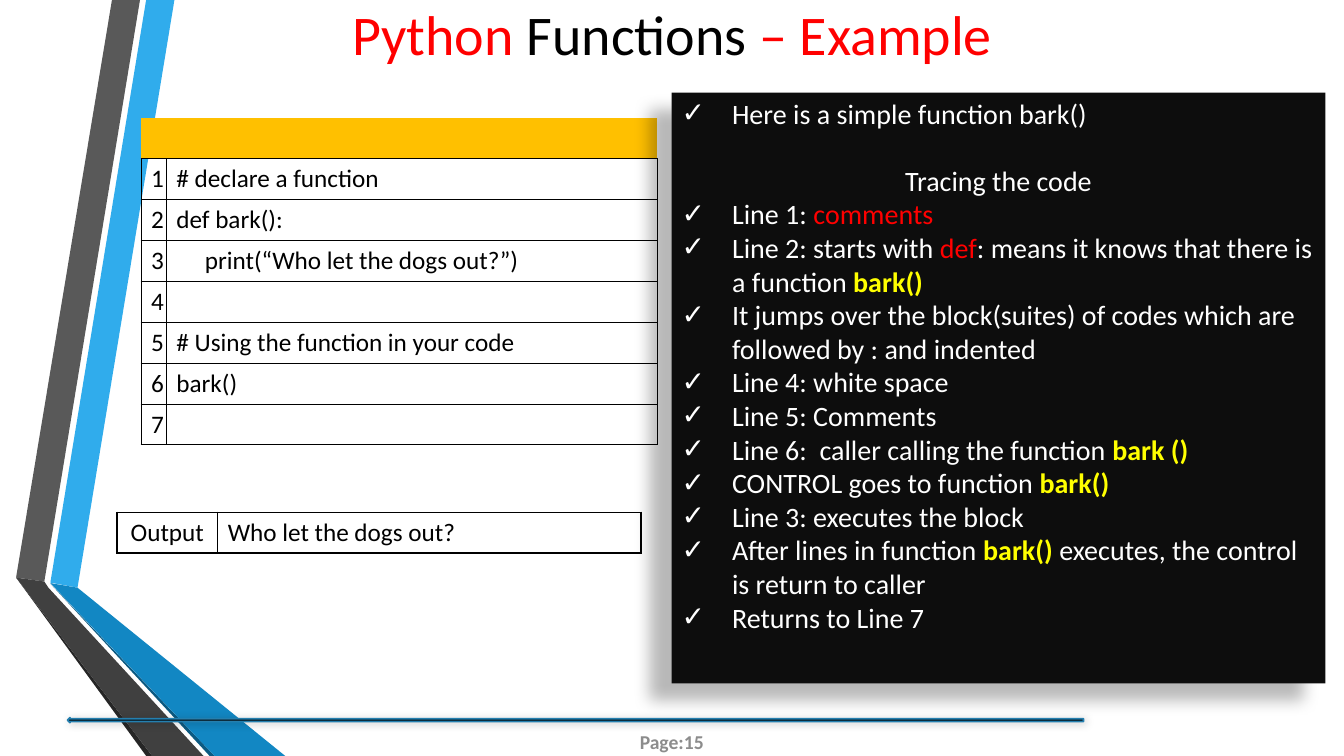
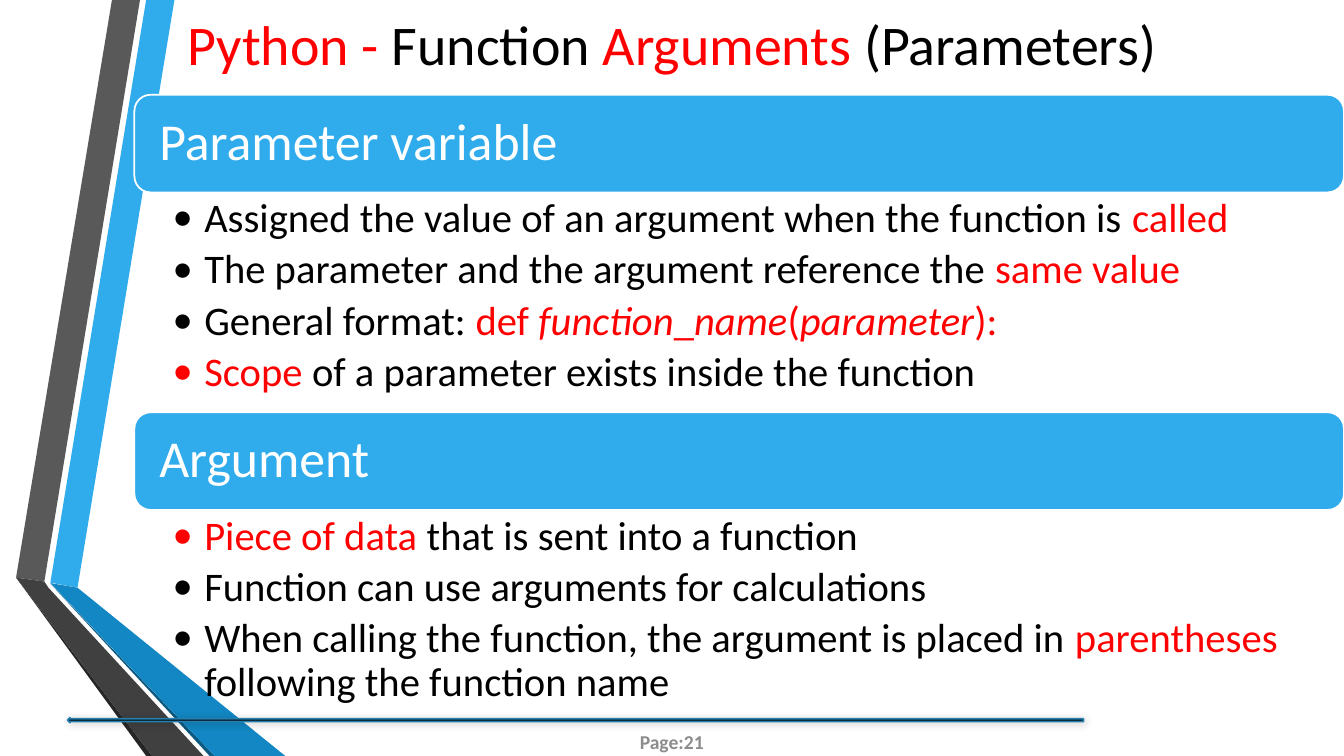
from lxml import etree
from pptx import Presentation
from pptx.dml.color import RGBColor
from pptx.enum.shapes import MSO_SHAPE as Shape
from pptx.enum.text import MSO_ANCHOR as Anchor, MSO_AUTO_SIZE as AutoSize, PP_ALIGN as Align
from pptx.oxml import parse_xml
from pptx.oxml.ns import nsdecls, qn
from pptx.util import Pt

# Shared look
FONT = "Calibri"
BLACK = RGBColor(0x00, 0x00, 0x00)
WHITE = RGBColor(0xFF, 0xFF, 0xFF)
RED = RGBColor(0xFF, 0x00, 0x00)
YELLOW = RGBColor(0xFF, 0xFF, 0x00)
GOLD = RGBColor(0xFF, 0xC0, 0x00)
PANEL = RGBColor(0x0D, 0x0D, 0x0D)
SKY = RGBColor(0x30, 0xAC, 0xEC)
BLUE = RGBColor(0x12, 0x87, 0xC3)
NAVY = RGBColor(0x0C, 0x5A, 0x82)
RULE = RGBColor(0x24, 0x7F, 0xAF)
GREY = RGBColor(0x59, 0x59, 0x59)
DARK = RGBColor(0x40, 0x40, 0x40)
SHADE = RGBColor(0x26, 0x26, 0x26)
FOOTER = RGBColor(0x8C, 0x8C, 0x8C)
PAGE_WIDTH, PAGE_HEIGHT = 960, 540
NO_TABLE_STYLE = "{2D5ABB26-0587-4C30-8999-92F81FD0307C}"

# Folded ribbon at the left edge: colour and corners
RIBBON = [
    (SKY, [(36, 416.2), (55.4, 419.8), (124.6, 0), (104.4, 0)]),
    (GREY, [(100, 0), (80, 0), (11.5, 412.6), (31.7, 415.4)]),
    (SHADE, [(11.5, 412.6), (104.4, 540), (108.7, 540)]),
    (NAVY, [(36, 416.9), (149.8, 540), (153.4, 540)]),
    (BLUE, [(36, 416.5), (153.4, 540), (203.8, 540), (55.4, 419.8)]),
    (DARK, [(145.4, 540), (34.6, 419.8), (31.7, 415.4), (11.5, 412.6), (108.7, 540)]),
]

# Content: a line is a list of spans, each a string or (text, colour, style)
EXAMPLE_TITLE = [("Python ", RED), "Functions ", ("– Example", RED)]
CODE = [
    "# declare a function",
    "def bark():",
    "     print(“Who let the dogs out?”)",
    "",
    "# Using the function in your code",
    "bark()",
    "",
]
OUTPUT = ["Output", "Who let the dogs out?"]
INTRO = ["Here is a simple function bark()"]
TRACE_HEADING = ["Tracing the code"]
TRACE = [
    ["Line 1: ", ("comments", RED)],
    ["Line 2: starts with ", ("def", RED), ": means it knows that there is a function ",
     ("bark()", YELLOW, "bold")],
    ["It jumps over the block(suites) of codes which are followed by : and indented"],
    ["Line 4: white space"],
    ["Line 5: Comments"],
    ["Line 6:  caller calling the function ", ("bark ()", YELLOW, "bold")],
    ["CONTROL goes to function ", ("bark()", YELLOW, "bold")],
    ["Line 3: executes the block"],
    ["After lines in function ", ("bark() ", YELLOW, "bold"),
     "executes, the control is return to caller"],
    ["Returns to Line 7"],
]
ARGUMENTS_TITLE = [("Python - ", RED), "Function ", ("Arguments", RED), " (Parameters)"]
# Heading, height of the list below it, list lines
SECTIONS = [
    ("Parameter variable", 157, [
        ["Assigned the value of an argument when the function is ", ("called", RED)],
        ["The parameter and the argument reference the ", ("same value", RED)],
        ["General format: ", ("def ", RED), ("function", RED, "italic"), ("_", RED),
         ("name", RED, "italic"), ("(", RED), ("parameter", RED, "italic"), ("):", RED)],
        [("Scope", RED), " of a parameter exists inside the function"],
    ]),
    ("Argument", 150.5, [
        [("Piece of data ", RED), "that is sent into a function"],
        ["Function can use arguments for calculations"],
        ["When calling the function, the argument is placed in ", ("parentheses", RED),
         " following the function name"],
    ]),
]


def place(*lengths):
    return [Pt(length) for length in lengths]


def set_frame(frame, insets, anchor=Anchor.TOP):
    frame.word_wrap = True
    frame.auto_size = AutoSize.NONE
    frame.vertical_anchor = anchor
    (frame.margin_left, frame.margin_top,
     frame.margin_right, frame.margin_bottom) = place(*insets)


def write(para, spans, size, color, align=Align.LEFT, bullet=None, indent=0, bold=False):
    """Fill a paragraph with spans, with an optional hanging bullet."""
    if bullet:
        first = color if isinstance(spans[0], str) else spans[0][1]
        props = para._p.get_or_add_pPr()
        props.set("marL", str(Pt(indent)))
        props.set("indent", str(-Pt(indent)))
        for xml in (f'<a:buClr {nsdecls("a")}><a:srgbClr val="{first}"/></a:buClr>',
                    f'<a:buFont {nsdecls("a")} typeface="{FONT}"/>',
                    f'<a:buChar {nsdecls("a")} char="{bullet}"/>'):
            props.append(parse_xml(xml))
    para.alignment = align
    font = para.font
    font.name, font.size, font.bold = FONT, Pt(size), bold
    font.color.rgb = color
    for part in spans:
        text, tint, style = ((part,) if isinstance(part, str) else part) + (None,) * (
            2 if isinstance(part, str) else 3 - len(part))
        span = para.add_run()
        span.text = text
        if tint is not None:
            span.font.color.rgb = tint
        if style == "bold":
            span.font.bold = True
        elif style == "italic":
            span.font.italic = True


def write_all(frame, lines, **style):
    paras = [frame.paragraphs[0]] + [frame.add_paragraph() for _ in lines[1:]]
    for para, spans in zip(paras, lines):
        write(para, spans, **style)
    return paras


def add_box(page, kind, area, fill, line=None):
    box = page.shapes.add_shape(kind, *place(*area))
    box.shadow.inherit = False
    box.fill.solid()
    box.fill.fore_color.rgb = fill
    if line is None:
        box.line.fill.background()
    else:
        box.line.color.rgb = line
        box.line.width = Pt(1.25)
    return box


def add_shadow(box, opacity, blur, distance, angle):
    effects = box._element.spPr.find(qn("a:effectLst"))
    effects.append(parse_xml(
        f'<a:outerShdw {nsdecls("a")} blurRad="{Pt(blur)}" dist="{Pt(distance)}" '
        f'dir="{angle * 60000}" algn="ctr" rotWithShape="0"><a:srgbClr val="{BLACK}">'
        f'<a:alpha val="{opacity * 1000}"/></a:srgbClr></a:outerShdw>'))


def start_page(deck, title, title_height, number, spacing=1.0):
    """Add a page with its title, ribbon, footer and rule."""
    page = deck.slides.add_slide(deck.slide_layouts[5])
    heading = page.shapes.title
    heading.left, heading.top, heading.width, heading.height = place(
        0, 0, PAGE_WIDTH, title_height)
    set_frame(heading.text_frame, (7.2, 3.6, 7.2, 3.6), Anchor.MIDDLE)
    para = heading.text_frame.paragraphs[0]
    write(para, title, 40, BLACK, Align.CENTER)
    para.line_spacing = spacing

    for color, corners in RIBBON:
        points = [place(*corner) for corner in corners]
        builder = page.shapes.build_freeform(*points[0])
        builder.add_line_segments(points[1:], close=True)
        fold = builder.convert_to_shape()
        fold.shadow.inherit = False
        fold.fill.solid()
        fold.fill.fore_color.rgb = color
        fold.line.fill.background()

    footer = page.shapes.add_textbox(*place(416.2, 515.5, 127.4, 28.8)).text_frame
    set_frame(footer, (2.9, 1.4, 2.9, 1.4), Anchor.MIDDLE)
    write(footer.paragraphs[0], [f"Page:{number}"], 14, FOOTER, Align.CENTER, bold=True)
    rule = add_box(page, Shape.LEFT_ARROW, (48.2, 512.6, 725.8, 3.6), BLACK, RULE)
    add_shadow(rule, 20, 6, 1, 45)
    return page


def format_cell(cell, text, sides, width, fill=None, align=Align.LEFT):
    """Write one table cell and draw the named border sides."""
    props = cell._tc.get_or_add_tcPr()
    for side in sides:
        border = etree.SubElement(props, qn(f"a:ln{side}"), w=str(Pt(width)))
        solid = etree.SubElement(border, qn("a:solidFill"))
        etree.SubElement(solid, qn("a:srgbClr"), val=str(BLACK))
    if fill is None:
        cell.fill.background()
    else:
        cell.fill.solid()
        cell.fill.fore_color.rgb = fill
    cell.vertical_anchor = Anchor.MIDDLE
    write(cell.text_frame.paragraphs[0], [text] if text else [], 18, BLACK, align)


def add_grid(page, left, top, widths, row_height, row_count):
    table = page.shapes.add_table(
        row_count, len(widths),
        *place(left, top, sum(widths), row_height * row_count)).table
    table._tbl.tblPr.find(qn("a:tableStyleId")).text = NO_TABLE_STYLE
    table.first_row = table.horz_banding = False
    for column, width in zip(table.columns, widths):
        column.width = Pt(width)
    for row in table.rows:
        row.height = Pt(row_height)
    return table


def build_example(deck):
    page = start_page(deck, EXAMPLE_TITLE, 56.2, 15, 0.8)

    # Numbered code listing under a plain header band
    listing = add_grid(page, 100.8, 84.2, (18, 350.6), 29.2, len(CODE) + 1)
    for column in range(2):
        format_cell(listing.cell(0, column), "", "B", 0.75, GOLD)
    for number, code in enumerate(CODE, 1):
        for column, text in enumerate((str(number), code)):
            format_cell(listing.cell(number, column), text, "LRTB", 0.75)

    # Program output
    output = add_grid(page, 83.5, 365.8, (72, 302.4), 29.2, 1)
    for column, (text, align) in enumerate(zip(OUTPUT, (Align.CENTER, Align.LEFT))):
        format_cell(output.cell(0, column), text, "LRTB", 1, align=align)

    # Explanation panel
    panel = add_box(page, Shape.RECTANGLE, (479.8, 66.2, 466.9, 421.9), PANEL)
    add_shadow(panel, 28, 11.8, 19.7, 141)
    frame = panel.text_frame
    set_frame(frame, (7.2, 2.4, 7.2, 3.6))
    ticked = dict(size=20, color=WHITE, bullet="✓", indent=36)
    write(frame.paragraphs[0], INTRO, **ticked)
    heading = frame.add_paragraph()
    write(heading, TRACE_HEADING, 20, WHITE, Align.CENTER)
    heading.space_before = Pt(24)
    for spans in TRACE:
        write(frame.add_paragraph(), spans, **ticked)


def build_arguments(deck):
    page = start_page(deck, ARGUMENTS_TITLE, 61.9, 21)
    left, width, top, bar_height = 96, 864, 67.7, 69.8
    for heading, list_height, lines in SECTIONS:
        # Heading bar
        bar = add_box(page, Shape.ROUNDED_RECTANGLE, (left, top, width, bar_height), SKY, WHITE)
        set_frame(bar.text_frame, (14.4, 10.8, 14.4, 10.8), Anchor.MIDDLE)
        para = bar.text_frame.paragraphs[0]
        write(para, [heading], 37, WHITE)
        para.line_spacing = 0.9
        top += bar_height

        # List below the bar
        frame = page.shapes.add_textbox(*place(left, top, width, list_height)).text_frame
        set_frame(frame, (27.4, 3.6, 20.9, 3.6))
        for para in write_all(frame, lines, size=29, color=BLACK, bullet="•", indent=22.5):
            para.line_spacing = 0.9
            para.space_after = Pt(5.3)
        top += list_height


def main():
    deck = Presentation()
    deck.slide_width, deck.slide_height = place(PAGE_WIDTH, PAGE_HEIGHT)
    build_example(deck)
    build_arguments(deck)
    deck.save("out.pptx")


if __name__ == "__main__":
    main()
